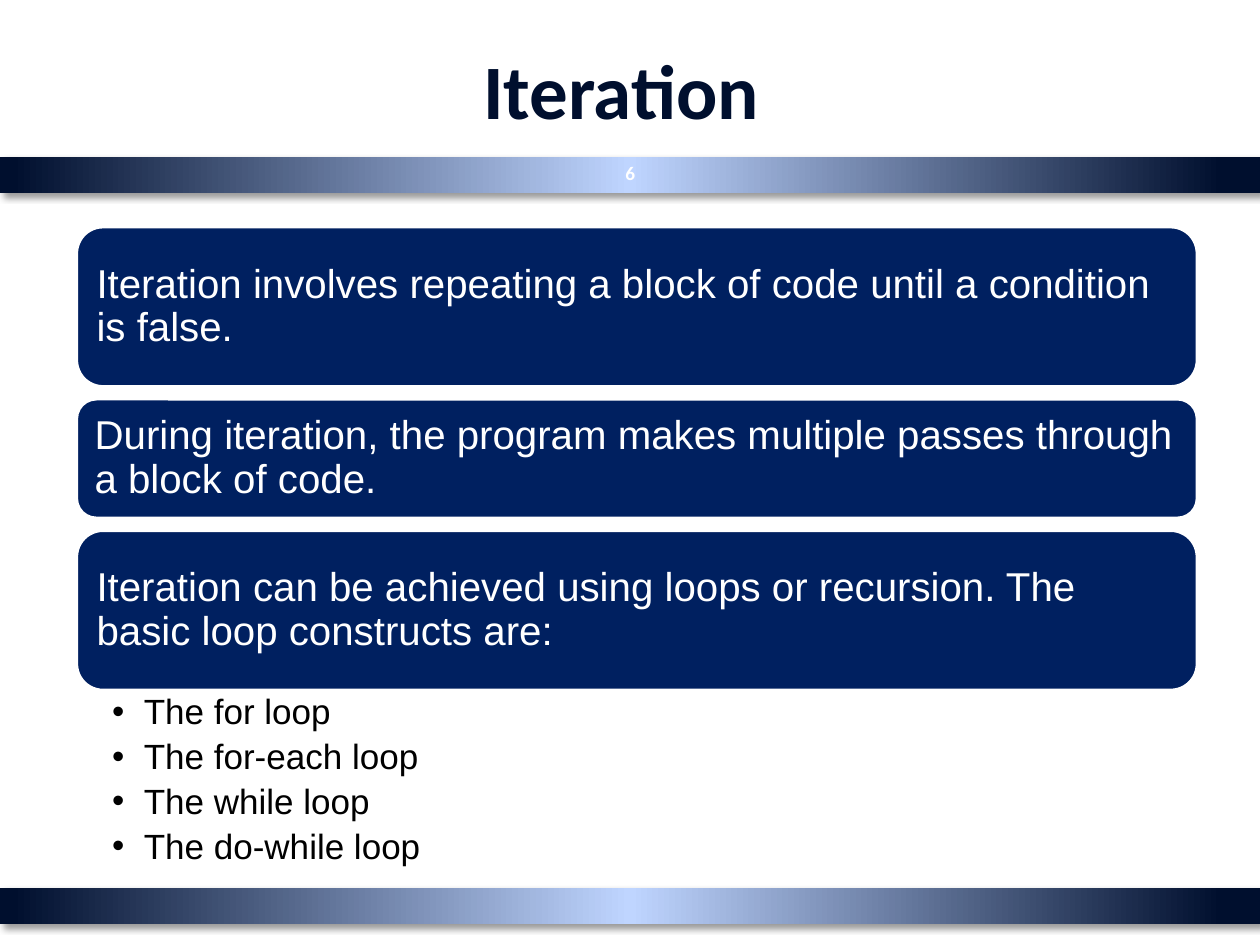
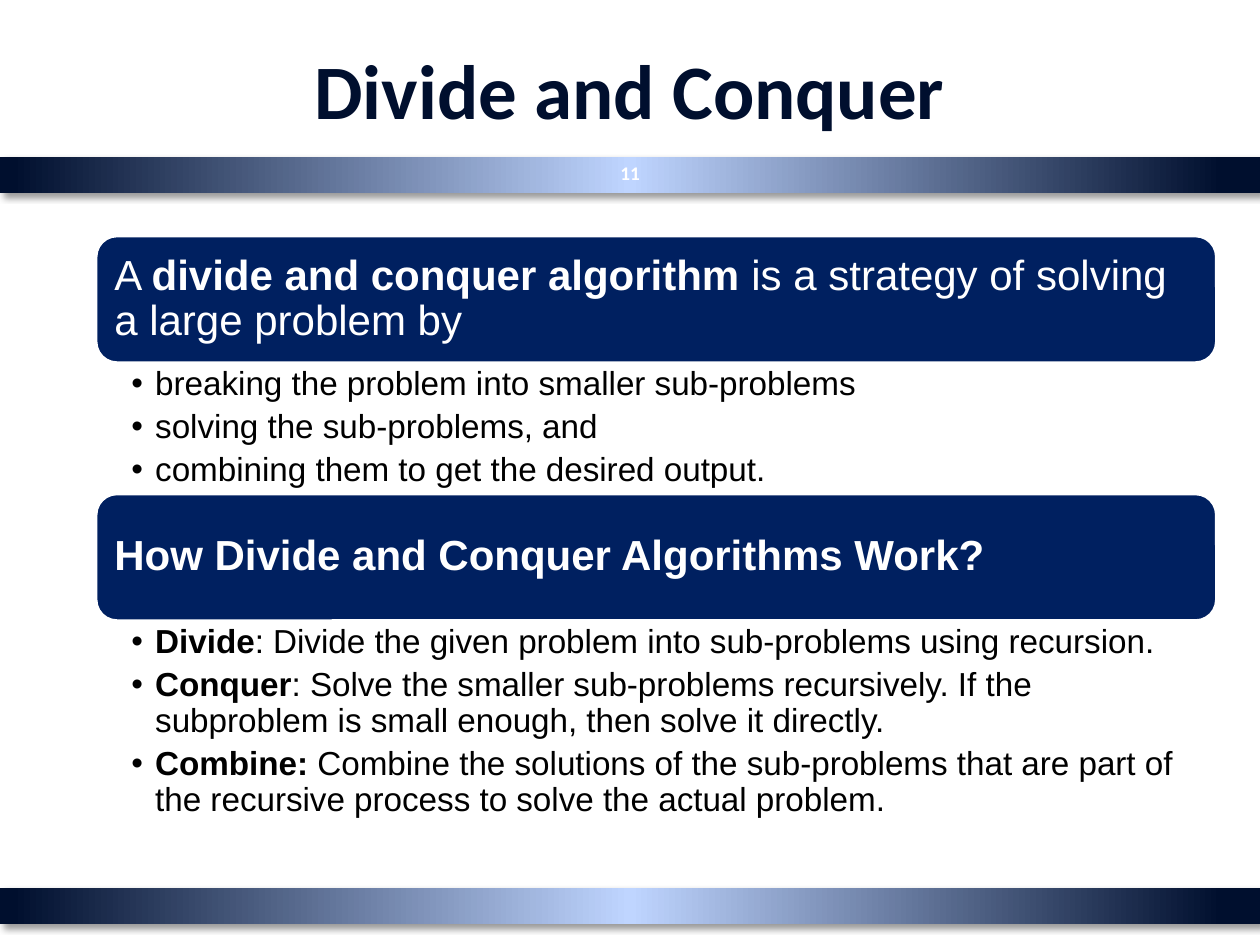
"""Build two slides on iteration and on divide and conquer."""
from lxml import etree
from pptx import Presentation
from pptx.dml.color import RGBColor
from pptx.enum.shapes import MSO_SHAPE
from pptx.enum.text import MSO_ANCHOR, MSO_AUTO_SIZE, PP_ALIGN
from pptx.oxml import parse_xml
from pptx.oxml.ns import nsdecls, qn
from pptx.util import Cm, Pt

RECTANGLE, ROUNDED = MSO_SHAPE.RECTANGLE, MSO_SHAPE.ROUNDED_RECTANGLE
MIDDLE, TOP = MSO_ANCHOR.MIDDLE, MSO_ANCHOR.TOP
CENTER, LEFT = PP_ALIGN.CENTER, PP_ALIGN.LEFT
NO_FIT = MSO_AUTO_SIZE.NONE

INK = RGBColor(0x00, 0x0F, 0x2E)
GLOW = RGBColor(0xBF, 0xD5, 0xFF)
NAVY = RGBColor(0x00, 0x20, 0x60)
WHITE = RGBColor(0xFF, 0xFF, 0xFF)
BLACK = RGBColor(0x00, 0x00, 0x00)

PAGE_WIDTH, PAGE_HEIGHT = 25.4, 19.05
BAND_TOPS = (17.9, 3.17)
BAND_HEIGHT = 0.73
BAND_STOPS = ((0, INK), (3, INK), (50, GLOW), (99, INK), (100, INK))
BAND_SHADOW = (
    f'<a:outerShdw {nsdecls("a")} blurRad="{Pt(4)}" dist="{Pt(3)}" dir="2700000" '
    'algn="tl" rotWithShape="0"><a:srgbClr val="000000"><a:alpha val="40000"/>'
    '</a:srgbClr></a:outerShdw>')
BOX_INSETS = (0.25, 0.13, 0.25, 0.13)
CARD_INSETS = (0.25, 0.25, 0.25, 0.25)
CARD_WIDTH = 22.6


def apply(target, values):
    for name, value in values.items():
        setattr(target, name, value)


class LessonDeck:
    def __init__(self):
        self.deck = Presentation()
        self.deck.slide_width = Cm(PAGE_WIDTH)
        self.deck.slide_height = Cm(PAGE_HEIGHT)

    def start_page(self, title, number, left, top, card_size, item_size, indent, right_inset):
        self.page = self.deck.slides.add_slide(self.deck.slide_layouts[5])
        self.left, self.top = left, top
        self.card_size, self.item_size = card_size, item_size
        self.indent, self.right_inset = indent, right_inset
        box = self.page.shapes.title
        apply(box, dict(left=Cm(1.27), top=Cm(0.2), width=Cm(22.86), height=Cm(3.18)))
        for band_top in BAND_TOPS:
            box.element.addprevious(self.band(band_top).element)
        heading = dict(name="Calibri", bold=True)
        self.fill_text(box, [title], dict(heading, size=Pt(44)), INK, align=CENTER)
        badge = self.page.shapes.add_textbox(Cm(12.17), Cm(2.97), Cm(1.07), Cm(1.02))
        self.fill_text(badge, [number], dict(heading, size=Pt(11)), WHITE, align=CENTER)

    def band(self, top):
        band = self.page.shapes.add_shape(
            RECTANGLE, 0, Cm(top), Cm(PAGE_WIDTH), Cm(BAND_HEIGHT))
        band.line.fill.background()
        band.shadow.inherit = False
        band.fill.gradient()
        band.fill.gradient_angle = 180
        properties = band.element.spPr
        stops = properties.find(".//" + qn("a:gsLst"))
        for stop in list(stops):
            stops.remove(stop)
        for position, color in BAND_STOPS:
            stop = etree.SubElement(stops, qn("a:gs"), pos=str(position * 1000))
            etree.SubElement(stop, qn("a:srgbClr"), val=str(color))
        properties.find(qn("a:effectLst")).append(parse_xml(BAND_SHADOW))
        return band

    def fill_text(self, box, lines, font, color, align=LEFT, anchor=MIDDLE,
                  insets=BOX_INSETS, spacing=None, bullets=False):
        frame = box.text_frame
        sides = ("margin_left", "margin_top", "margin_right", "margin_bottom")
        apply(frame, dict(zip(sides, map(Cm, insets))))
        apply(frame, dict(word_wrap=True, auto_size=NO_FIT, vertical_anchor=anchor))
        for index, line in enumerate(lines):
            para = frame.add_paragraph() if index else frame.paragraphs[0]
            if bullets:
                self.add_bullet(para)
            apply(para, dict(alignment=align, space_before=Pt(0)))
            if spacing:
                apply(para, spacing)
            for part in [line] if isinstance(line, str) else line:
                text, bold = (part, {}) if isinstance(part, str) else (part[0], {"bold": True})
                span = para.add_run()
                span.text = text
                apply(span.font, font | bold)
                span.font.color.rgb = color

    def add_bullet(self, para):
        properties = para._p.get_or_add_pPr()
        properties.set("marL", str(Cm(self.indent)))
        properties.set("indent", str(-Cm(self.indent)))
        etree.SubElement(properties, qn("a:buFont"), typeface="Arial")
        etree.SubElement(properties, qn("a:buChar"), char="•")
        para.level = 1

    def card(self, height, line, gap=0):
        card = self.page.shapes.add_shape(
            ROUNDED, Cm(self.left), Cm(self.top), Cm(CARD_WIDTH), Cm(height))
        card.shadow.inherit = False
        card.fill.solid()
        card.fill.fore_color.rgb = NAVY
        card.line.color.rgb = WHITE
        card.line.width = Pt(2)
        self.fill_text(card, [line], dict(name="Arial", size=Pt(self.card_size)), WHITE,
                       insets=CARD_INSETS, spacing=dict(line_spacing=0.9))
        self.top += height + gap

    def items(self, height, lines):
        box = self.page.shapes.add_textbox(
            Cm(self.left), Cm(self.top), Cm(CARD_WIDTH), Cm(height))
        self.fill_text(box, lines, dict(name="Arial", size=Pt(self.item_size)), BLACK,
                       anchor=TOP, insets=(0.72, 0.08, self.right_inset, 0.08),
                       spacing=dict(line_spacing=0.9, space_after=Pt(4)), bullets=True)
        self.top += height


def main():
    lesson = LessonDeck()

    lesson.start_page("Iteration ", "6", left=1.54, top=4.57, card_size=23,
                      item_size=20, indent=0.64, right_inset=0.41)
    lesson.card(3.23, "Iteration involves repeating a block of code until a condition "
                "is false.", gap=0.24)
    lesson.card(2.41, "During iteration, the program makes multiple passes through "
                "a block of code.", gap=0.24)
    lesson.card(3.23, "Iteration can be achieved using loops or recursion. The basic "
                "loop constructs are:")
    lesson.items(3.63, [f"The {kind} loop" for kind in ("for", "for-each", "while", "do-while")])

    lesson.start_page("Divide and Conquer", "11", left=1.93, top=4.75, card_size=24,
                      item_size=19, indent=0.48, right_inset=0.48)
    lesson.card(2.57, ["A ", ("divide and conquer algorithm",),
                       " is a strategy of solving a large problem by"])
    lesson.items(2.63, ["breaking the problem into smaller sub-problems",
                        "solving the sub-problems, and",
                        "combining them to get the desired output."])
    lesson.card(2.57, [("How Divide and Conquer Algorithms Work?",)])
    lesson.items(4.01, [
        [("Divide",), ": Divide the given problem into sub-problems using recursion."],
        [("Conquer",), ": Solve the smaller sub-problems recursively. If the subproblem "
         "is small enough, then solve it directly."],
        [("Combine:",), " Combine the solutions of the sub-problems that are part of the "
         "recursive process to solve the actual problem."]])

    lesson.deck.save("out.pptx")


if __name__ == "__main__":
    main()
